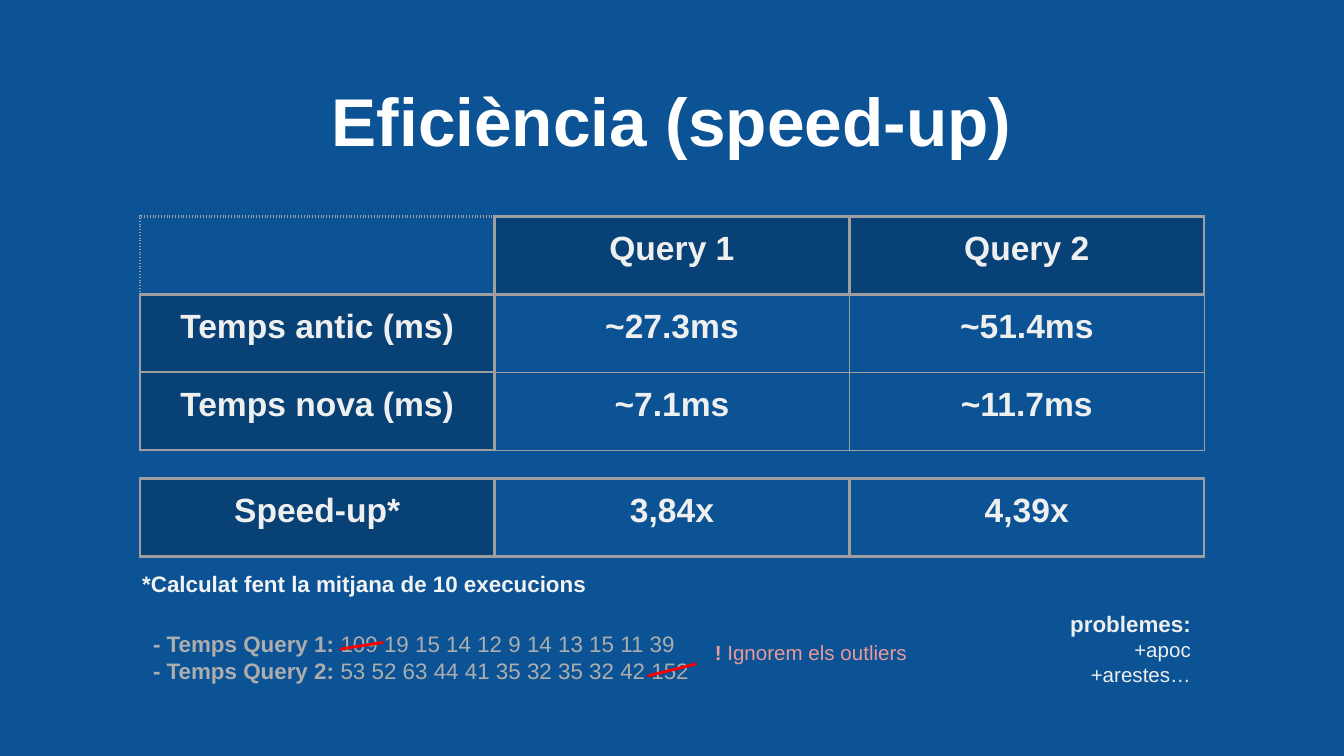
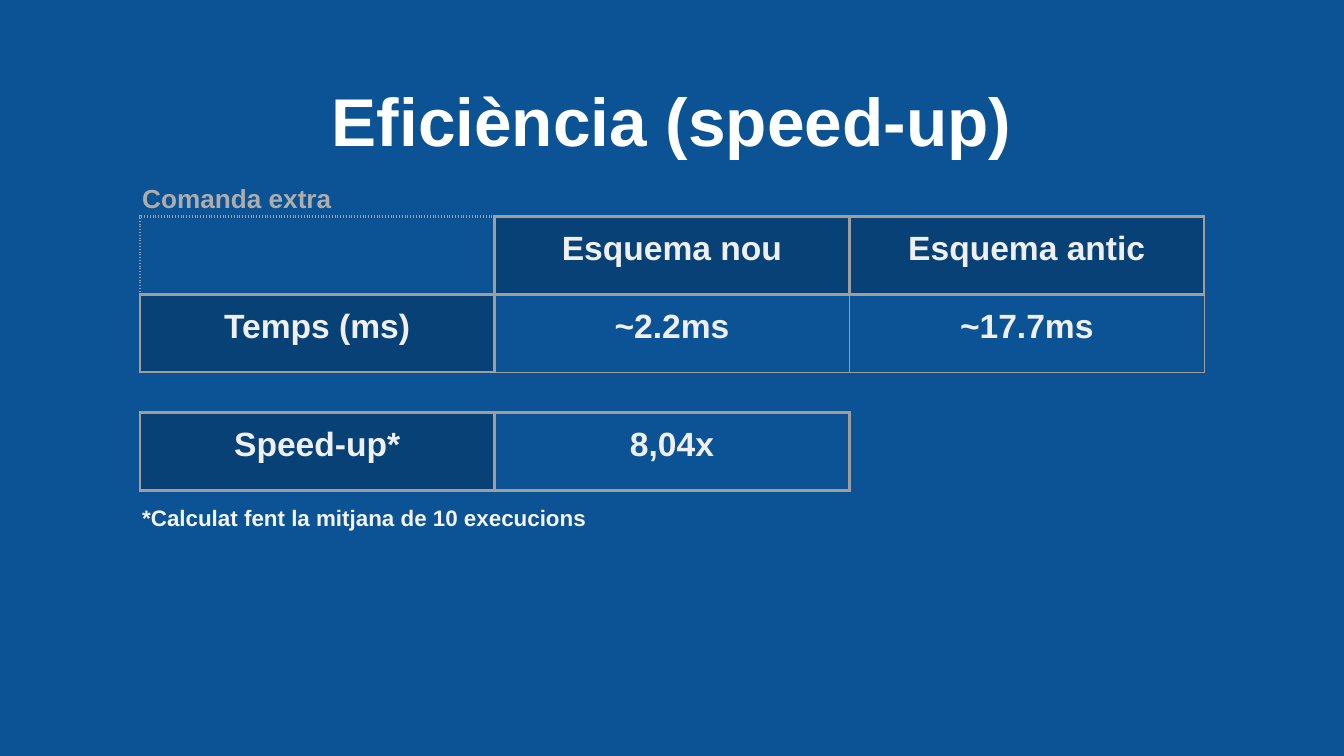
from dataclasses import dataclass

import pptx
import pptx.dml.color
import pptx.enum.shapes
import pptx.enum.text
import pptx.oxml.ns
import pptx.slide
import pptx.table
import pptx.util
from lxml import etree

Inches = pptx.util.Inches
Pt = pptx.util.Pt
Align = pptx.enum.text.PP_ALIGN

FONT = "Arial"
COLORS = {
    "back": "0B5394",
    "head": "074176",
    "edge": "9E9E9E",
    "title": "FFFFFF",
    "cell": "EFEFEF",
    "note": "F3F3F3",
    "muted": "ADADAD",
    "alert": "EA9999",
    "issue": "EEEEEE",
    "strike": "FF0000",
}
WIDTH = 10
LEFT, TOP = 1.04, 1.61
COL, ROW = 2.64, 0.58
THICK, THIN = 1.5, 0.75
INSET = 0.1


@dataclass
class Run:
    text: str
    size: float
    color: str
    bold: bool = True


@dataclass
class Box:
    left: float
    top: float
    width: float
    height: float
    lines: list[list[Run]]
    align: Align = Align.LEFT


@dataclass
class Grid:
    top: float
    rows: list[list[str]]


@dataclass
class Strike:
    start: tuple[float, float]
    end: tuple[float, float]


def paint(key: str) -> pptx.dml.color.RGBColor:
    return pptx.dml.color.RGBColor.from_string(COLORS[key])


def set_inset(part) -> None:
    part.margin_left = part.margin_right = Inches(INSET)
    part.margin_top = part.margin_bottom = Inches(INSET)


def add_run(para, run: Run) -> None:
    item = para.add_run()
    item.text = run.text
    item.font.name = FONT
    item.font.size = Pt(run.size)
    item.font.bold = run.bold
    item.font.color.rgb = paint(run.color)


def draw_box(slide: pptx.slide.Slide, box: Box) -> None:
    shape = slide.shapes.add_textbox(
        Inches(box.left), Inches(box.top), Inches(box.width), Inches(box.height))
    frame = shape.text_frame
    frame.word_wrap = True
    set_inset(frame)
    for i, line in enumerate(box.lines):
        para = frame.paragraphs[0] if i == 0 else frame.add_paragraph()
        para.alignment = box.align
        for run in line:
            add_run(para, run)


def set_edge(cell: pptx.table._Cell, side: str, width: float, dash: str) -> None:
    qn = pptx.oxml.ns.qn
    props = cell._tc.get_or_add_tcPr()
    line = etree.SubElement(props, qn(f"a:ln{side}"), w=str(Pt(width)))
    fill = etree.SubElement(line, qn("a:solidFill"))
    etree.SubElement(fill, qn("a:srgbClr"), val=COLORS["edge"])
    etree.SubElement(line, qn("a:prstDash"), val=dash)


def draw_grid(slide: pptx.slide.Slide, grid: Grid) -> None:
    rows, cols = len(grid.rows), len(grid.rows[0])
    table = slide.shapes.add_table(
        rows, cols, Inches(LEFT), Inches(grid.top),
        Inches(COL * cols), Inches(ROW * rows)).table
    table.first_row = table.horz_banding = False
    for col in table.columns:
        col.width = Inches(COL)
    for r, texts in enumerate(grid.rows):
        table.rows[r].height = Inches(ROW)
        for c, text in enumerate(texts):
            cell = table.cell(r, c)
            set_inset(cell)
            # Body cells under a header row have thin inner edges
            body = r > 0 and c > 0
            for side in "LRTB":
                thick = side == "L" and c == 1 or side == "T" and r == 1
                dash = "dot" if not text and side in "LT" else "solid"
                set_edge(cell, side, THIN if body and not thick else THICK, dash)
            if text and (c == 0 or r == 0 and rows > 1):
                cell.fill.solid()
                cell.fill.fore_color.rgb = paint("head")
            else:
                cell.fill.background()
            if text:
                para = cell.text_frame.paragraphs[0]
                para.alignment = Align.CENTER
                add_run(para, Run(text, 18, "cell"))


def draw_strike(slide: pptx.slide.Slide, mark: Strike) -> None:
    line = slide.shapes.add_connector(
        pptx.enum.shapes.MSO_CONNECTOR.STRAIGHT,
        *map(Inches, mark.start), *map(Inches, mark.end))
    line.line.color.rgb = paint("strike")
    line.line.width = Pt(1.5)
    etree.SubElement(line._element.spPr, pptx.oxml.ns.qn("a:effectLst"))


def add_page(deck, main: list[list[str]], gain: Grid) -> pptx.slide.Slide:
    slide = deck.slides.add_slide(deck.slide_layouts[6])
    slide.background.fill.solid()
    slide.background.fill.fore_color.rgb = paint("back")
    title = Run("Eficiència (speed-up)", 36.2, "title")
    draw_box(slide, Box(0.34, 0.49, 9.32, 0.63, [[title]], Align.CENTER))
    draw_grid(slide, Grid(TOP, main))
    draw_grid(slide, gain)
    # The footnote sits right under the speed-up row
    note = Run("*Calculat fent la mitjana de 10 execucions", 12, "note")
    draw_box(slide, Box(0.96, gain.top + ROW, 4.56, 0.4, [[note]]))
    return slide


def main() -> None:
    deck = pptx.Presentation()
    deck.slide_width, deck.slide_height = Inches(WIDTH), Inches(WIDTH * 9 / 16)

    # Slide 1: both queries
    slide = add_page(
        deck,
        [["", "Query 1", "Query 2"],
         ["Temps antic (ms)", "~27.3ms", "~51.4ms"],
         ["Temps nova (ms)", "~7.1ms", "~11.7ms"]],
        Grid(3.56, [["Speed-up*", "3,84x", "4,39x"]]))
    times = {
        "- Temps Query 1:": " 109 19 15 14 12 9 14 13 15 11 39",
        "- Temps Query 2:": " 53 52 63 44 41 35 32 35 32 42 152",
    }
    draw_box(slide, Box(
        1.04, 4.59, 4.39, 0.63,
        [[Run(name, 12, "muted"), Run(data, 12, "muted", False)]
         for name, data in times.items()]))
    for mark in (Strike((2.53, 4.83), (2.85, 4.78)),
                 Strike((4.82, 5.03), (5.18, 4.94))):
        draw_strike(slide, mark)
    draw_box(slide, Box(5.22, 4.67, 2.17, 0.46, [[
        Run("! ", 11, "alert"), Run("Ignorem els outliers", 11, "alert", False)]]))
    draw_box(slide, Box(7.5, 4.44, 1.46, 0.77, [
        [Run("problemes:", 12, "issue")],
        [Run("+apoc", 11, "issue", False)],
        [Run("+arestes…", 11, "issue", False)]], Align.RIGHT))

    # Slide 2: extra command
    slide = add_page(
        deck,
        [["", "Esquema nou", "Esquema antic"],
         ["Temps (ms)", "~2.2ms", "~17.7ms"]],
        Grid(3.07, [["Speed-up*", "8,04x"]]))
    draw_box(slide, Box(0.96, 1.26, 4.66, 0.44,
                        [[Run("Comanda extra", 14, "muted")]]))

    deck.save("out.pptx")


if __name__ == "__main__":
    main()
